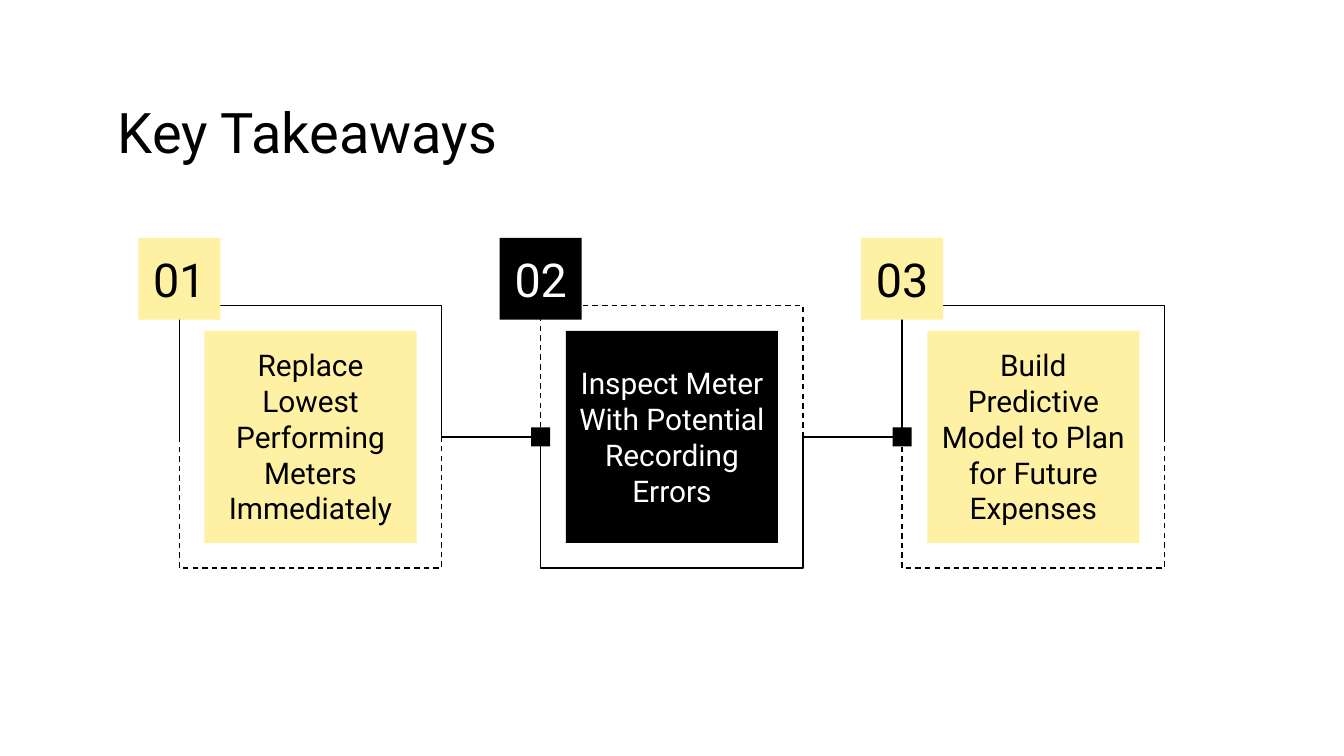
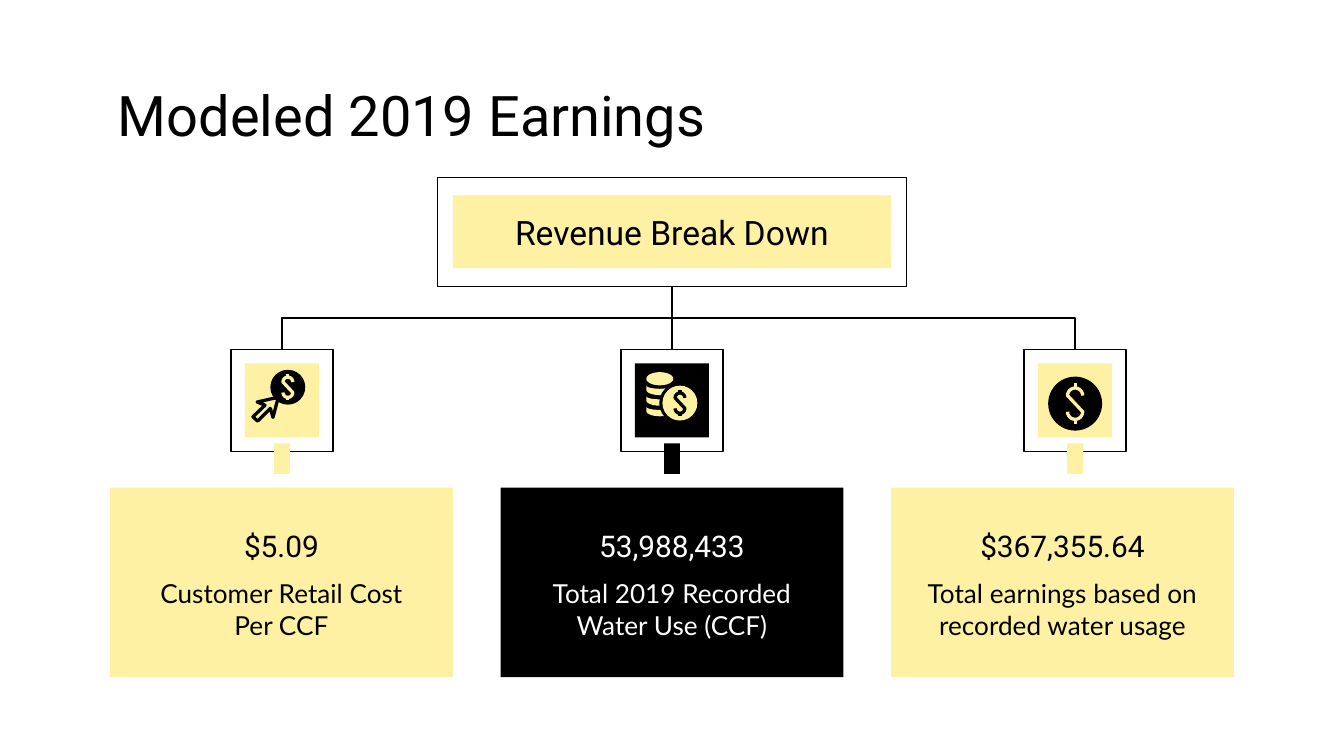
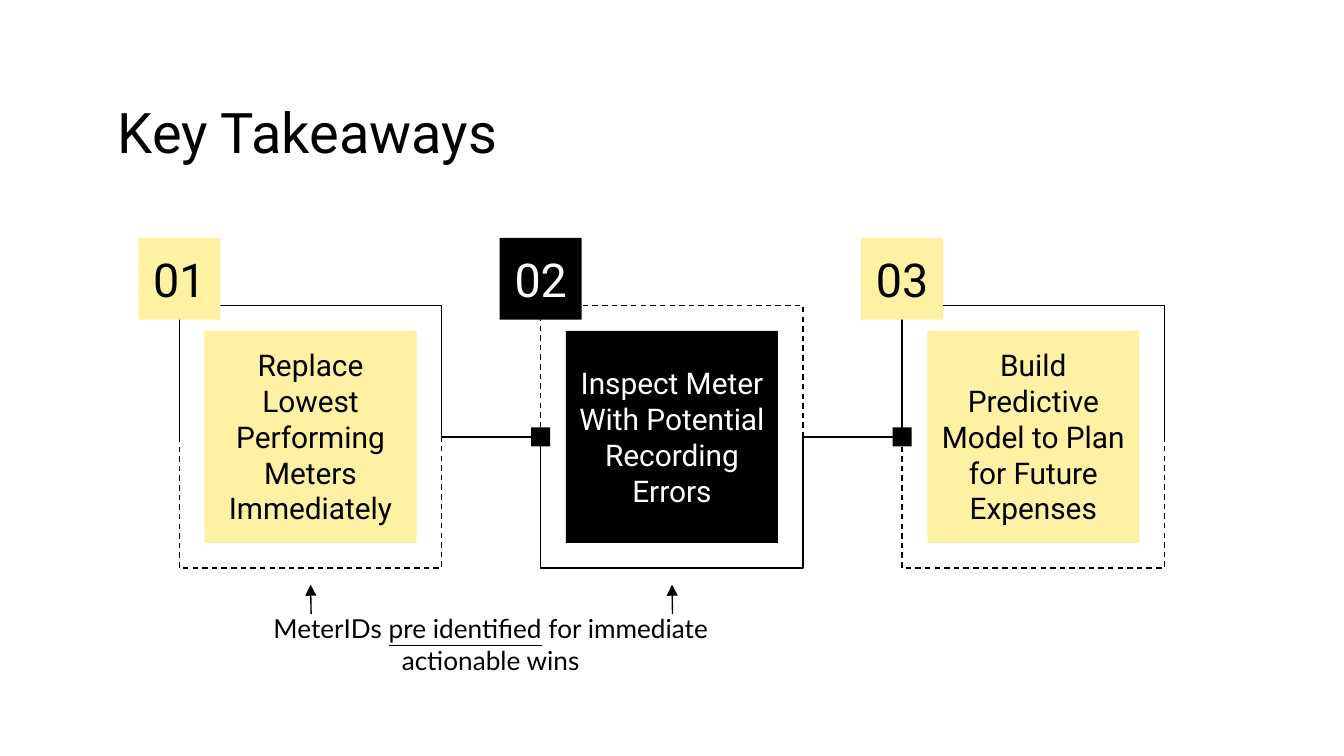
from math import cos, pi, sin

from lxml import etree
from pptx import Presentation
from pptx.dml.color import RGBColor
from pptx.enum.dml import MSO_LINE
from pptx.enum.shapes import MSO_CONNECTOR, MSO_SHAPE
from pptx.enum.text import MSO_ANCHOR, PP_ALIGN
from pptx.oxml.ns import qn
from pptx.util import Cm, Pt

RECTANGLE, OVAL = MSO_SHAPE.RECTANGLE, MSO_SHAPE.OVAL
STRAIGHT, ELBOW = MSO_CONNECTOR.STRAIGHT, MSO_CONNECTOR.ELBOW
LEFT, CENTER = PP_ALIGN.LEFT, PP_ALIGN.CENTER
TOP, MIDDLE = MSO_ANCHOR.TOP, MSO_ANCHOR.MIDDLE
DASH = MSO_LINE.DASH

YELLOW, BLACK, WHITE = "FFF1A3", "000000", "FFFFFF"
HEADING, BODY = "Roboto", "Lato"
THEMES = [(YELLOW, BLACK), (BLACK, WHITE), (YELLOW, BLACK)]  # fill, text


def color(value):
    return RGBColor.from_string(value)


def half_ellipse(center_y, radius_x, radius_y, steps=12):
    """Points from the right end, by way of the far side, to the left end."""
    angles = [pi * step / steps for step in range(steps + 1)]
    return [(radius_x * cos(a), center_y + radius_y * sin(a)) for a in angles]


class Deck:
    """Holds the shared style and the current slide; lengths are in cm."""

    def __init__(self):
        self.presentation = Presentation()
        self.presentation.slide_width = Cm(25.4)
        self.presentation.slide_height = Cm(14.29)
        self.slide = None

    def add_slide(self, title, title_height):
        layout = self.presentation.slide_layouts[6]
        self.slide = self.presentation.slides.add_slide(layout)
        self.text(title, 1.98, 1.5, 21.41, title_height, 30, align=LEFT)

    def set_text(self, shape, runs, size, font, ink, align, anchor):
        frame = shape.text_frame
        frame.word_wrap = True
        frame.vertical_anchor = anchor
        frame.margin_left = frame.margin_right = Cm(0.25)
        frame.margin_top = frame.margin_bottom = Cm(0.25)
        paragraph = frame.paragraphs[0]
        paragraph.alignment = align
        paragraph.font.name = font
        paragraph.font.size = Pt(size)
        paragraph.font.color.rgb = color(ink)
        for content, underlined in runs:
            run = paragraph.add_run()
            run.text = content
            if underlined:
                run.font.underline = True

    def text(self, content, left, top, width, height, size, font=HEADING,
             ink=BLACK, align=CENTER, anchor=MIDDLE):
        """Add a text box; content is a string or (text, underlined) runs."""
        box = self.slide.shapes.add_textbox(Cm(left), Cm(top), Cm(width), Cm(height))
        runs = [(content, False)] if isinstance(content, str) else content
        self.set_text(box, runs, size, font, ink, align, anchor)

    def paint(self, shape, fill=None, line=None, weight=0.75, dash=None):
        shape.shadow.inherit = False
        if fill:
            shape.fill.solid()
            shape.fill.fore_color.rgb = color(fill)
        else:
            shape.fill.background()
        if line:
            shape.line.color.rgb = color(line)
            shape.line.width = Pt(weight)
            if dash:
                shape.line.dash_style = dash
        else:
            shape.line.fill.background()

    def centered(self, x, y, width, height, fill=None, line=None, kind=RECTANGLE,
                 label=None, size=18, ink=BLACK):
        """Add a preset shape around the centre (x, y)."""
        shape = self.slide.shapes.add_shape(
            kind, Cm(x - width / 2), Cm(y - height / 2), Cm(width), Cm(height))
        self.paint(shape, fill, line)
        if label:
            self.set_text(shape, [(label, False)], size, HEADING, ink, CENTER, MIDDLE)

    def outline(self, x, y, contours, close=False, **style):
        """Add a freeform whose points are offsets from (x, y)."""
        placed = [[(Cm(x + dx), Cm(y + dy)) for dx, dy in contour]
                  for contour in contours]
        builder = self.slide.shapes.build_freeform(*placed[0][0])
        builder.add_line_segments(placed[0][1:], close=close)
        for contour in placed[1:]:
            builder.move_to(*contour[0])
            builder.add_line_segments(contour[1:], close=close)
        self.paint(builder.convert_to_shape(), **style)

    def connector(self, x1, y1, x2, y2, kind=STRAIGHT, arrow=False):
        line = self.slide.shapes.add_connector(kind, Cm(x1), Cm(y1), Cm(x2), Cm(y2))
        line.line.color.rgb = color(BLACK)
        line.line.width = Pt(0.75)
        properties = line._element.spPr
        if arrow:
            etree.SubElement(properties.find(qn("a:ln")), qn("a:tailEnd"), type="triangle")
        etree.SubElement(properties, qn("a:effectLst"))
        return line

    def branch(self, x1, y1, x2, y2):
        """Add an elbow that leaves downwards, runs sideways and goes down."""
        side = 1 if x2 > x1 else -1
        middle_x, middle_y = (x1 + x2) / 2, (y1 + y2) / 2
        half_drop, half_run = side * (y2 - y1) / 2, abs(x2 - x1) / 2
        elbow = self.connector(middle_x + half_drop, middle_y - half_run,
                               middle_x - half_drop, middle_y + half_run, ELBOW)
        elbow.rotation = 180 + 90 * side

    def dollar_coin(self, x, y, radius, fill, ink):
        self.centered(x, y, 2 * radius, 2 * radius, fill, kind=OVAL)
        upper = half_ellipse(-0.3 * radius, 0.28 * radius, -0.28 * radius)
        lower = half_ellipse(0.3 * radius, 0.28 * radius, 0.28 * radius)
        ticks = [[(0, end * 0.58 * radius), (0, end * 0.75 * radius)] for end in (-1, 1)]
        self.outline(x, y, [upper + lower, *ticks], line=ink, weight=1.75)


def takeaways(deck):
    deck.add_slide("Key Takeaways", 1.96)
    pitch, first_x, y = 6.83, 5.87, 8.26
    half = 2.48
    steps = ["Replace Lowest Performing Meters Immediately",
             "Inspect Meter With Potential Recording Errors",
             "Build Predictive Model to Plan for Future Expenses"]
    centers = [first_x + index * pitch for index in range(len(steps))]

    # Cards and their half-dashed frames
    for index, (x, (fill, _)) in enumerate(zip(centers, THEMES)):
        deck.centered(x, y, 4.01, 4.01, fill)
        dashed_side = -1 if index == 1 else 1
        for side in (-1, 1):
            frame = [(-half, 0), (-half, side * half), (half, side * half), (half, 0)]
            deck.outline(x, y, [frame], line=BLACK,
                         dash=DASH if side == dashed_side else None)

    # Links to the next card
    for x, next_x in zip(centers, centers[1:]):
        deck.connector(x + half, y, next_x - half, y)
        deck.centered(next_x - half, y, 0.36, 0.36, BLACK)

    # Numbers and wording
    for number, (x, step, (fill, ink)) in enumerate(zip(centers, steps, THEMES), 1):
        deck.centered(x - half, 5.27, 1.55, 1.55, fill, label=f"{number:02}",
                      size=25, ink=ink)
        deck.text(step, x - 4.01 / 2, 7.07, 4.01, 2.36, 16, ink=ink)
    return centers


def earnings(deck):
    deck.add_slide("Modeled 2019 Earnings", 1.32)
    middle, icon_y = 12.7, 7.57
    icon_centers = [5.33, middle, 20.32]
    figures = [("$5.09", "Customer Retail Cost Per CCF", 5.87),
               ("53,988,433", "Total 2019 Recorded Water Use (CCF)", 5.87),
               ("$367,355.64", "Total earnings based on recorded water usage", 6.48)]

    # Heading box
    deck.centered(middle, 4.39, 8.86, 2.06, line=BLACK)
    deck.centered(middle, 4.38, 8.28, 1.38, YELLOW, label="Revenue Break Down")

    # Figures with their icon frames
    for index, (value, caption, width) in enumerate(figures):
        fill, ink = THEMES[index]
        x = middle + (index - 1) * 7.38
        icon_x = icon_centers[index]
        deck.centered(x, 11.01, 6.48, 3.58, fill)
        deck.text(caption, x - width / 2, 10.67, width, 1.78, 14, BODY, ink, anchor=TOP)
        deck.text(value, x - 5.87 / 2, 9.73, 5.87, 1.17, 16, ink=ink)
        deck.centered(icon_x, icon_y, 1.93, 1.93, line=BLACK)
        deck.centered(icon_x, icon_y, 1.4, 1.4, fill)
        deck.centered(icon_x, 8.67, 0.3, 0.58, fill)

    # Tree lines
    for x in (icon_centers[0], icon_centers[2]):
        deck.branch(middle, 5.42, x, 6.6)
    deck.connector(middle, 5.42, middle, 6.6)

    # Pointer and coin
    pointer = [(-0.07, -0.06), (-0.17, 0.32), (-0.22, 0.15), (-0.46, 0.39),
               (-0.55, 0.31), (-0.32, 0.09), (-0.47, 0.03)]
    deck.outline(icon_centers[0], icon_y, [pointer], close=True, line=BLACK, weight=1.75)
    deck.dollar_coin(icon_centers[0] + 0.11, icon_y - 0.25, 0.33, BLACK, YELLOW)

    # Stack of coins
    stack_x = middle - 0.23
    deck.centered(stack_x, icon_y - 0.41, 0.51, 0.25, YELLOW, kind=OVAL)
    band = half_ellipse(0, 0.255, 0.06) + half_ellipse(0.08, 0.255, 0.1)[::-1]
    for level in range(3):
        deck.outline(stack_x, icon_y - 0.28 + level * 0.2, [band], close=True, fill=YELLOW)
    deck.centered(middle + 0.15, icon_y + 0.05, 0.78, 0.78, BLACK, kind=OVAL)
    deck.dollar_coin(middle + 0.15, icon_y + 0.05, 0.33, YELLOW, BLACK)

    # Large coin
    deck.dollar_coin(icon_centers[2], icon_y + 0.06, 0.51, BLACK, YELLOW)


def takeaways_with_note(deck):
    centers = takeaways(deck)
    note = [("MeterIDs ", False), ("pre identified", True),
            (" for immediate actionable wins", False)]
    deck.text(note, 4.6, 11.33, 9.35, 1.7, 14, BODY, anchor=TOP)
    for x in centers[:2]:
        deck.connector(x + 0.01, 11.61, x, 11.05, arrow=True)


def main():
    deck = Deck()
    takeaways(deck)
    earnings(deck)
    takeaways_with_note(deck)
    deck.presentation.save("out.pptx")


if __name__ == "__main__":
    main()
